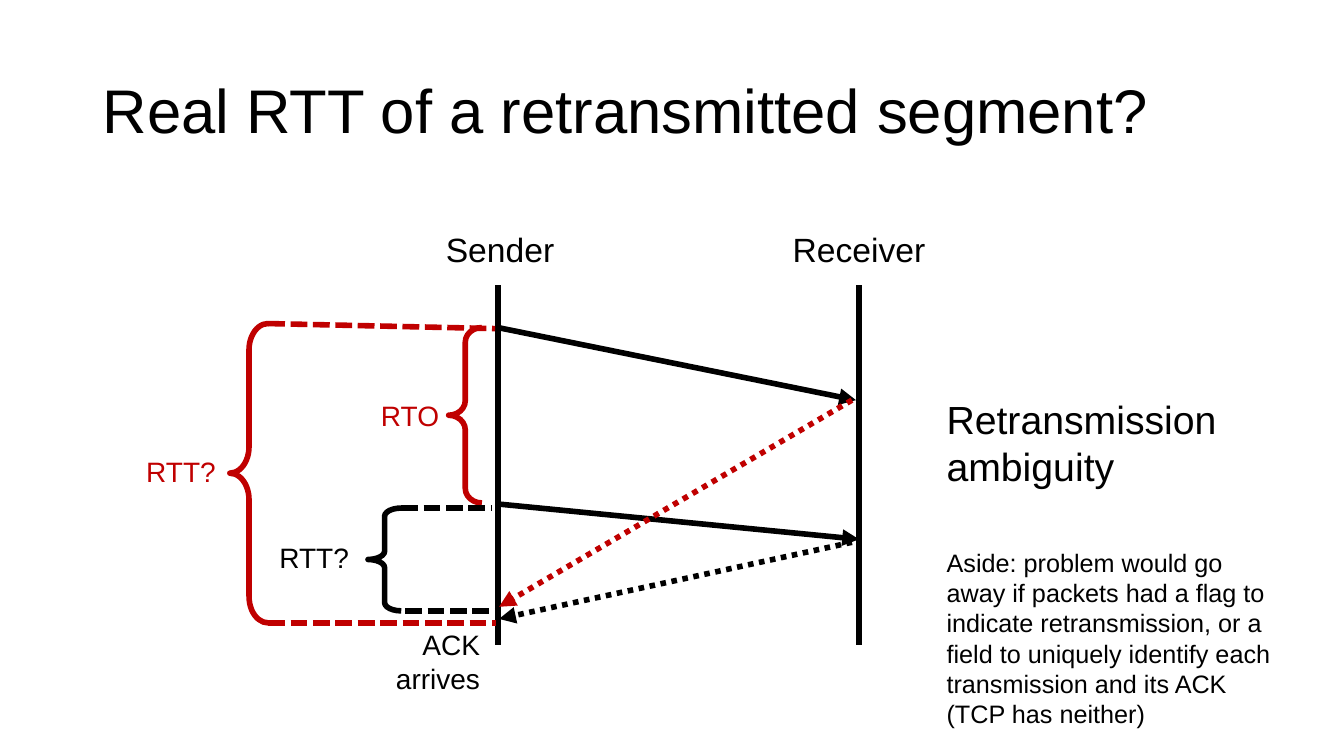
from lxml import etree
from pptx import Presentation
from pptx import util as u
from pptx.dml.color import RGBColor
from pptx.enum import dml, shapes, text
from pptx.oxml.ns import qn

BLACK, RED = "000000", "C00000"
LEFT, MID, RIGHT = text.PP_ALIGN.LEFT, text.PP_ALIGN.CENTER, text.PP_ALIGN.RIGHT
DOT, DASH = dml.MSO_LINE.ROUND_DOT, dml.MSO_LINE.SQUARE_DOT


def color(code):
    return RGBColor.from_string(code)


def label(slide, box, words, size, hue=BLACK, align=LEFT, gap=1.0, wrap=True):
    shape = slide.shapes.add_textbox(*map(u.Inches, box))
    frame = shape.text_frame
    frame.text = words
    frame.word_wrap = wrap
    if not wrap:
        frame.auto_size = text.MSO_AUTO_SIZE.SHAPE_TO_FIT_TEXT
    for para in frame.paragraphs:
        para.alignment = align
        para.line_spacing = gap
        for run in para.runs:
            run.font.name = "Arial"
            run.font.size = u.Pt(size)
            run.font.color.rgb = color(hue)
    return shape


def stroke(line, hue, dash=None):
    line.color.rgb = color(hue)
    line.width = u.Pt(4)
    if dash:
        line.dash_style = dash


def link(slide, start, end, hue=BLACK, dash=None, arrow=False):
    ends = [u.Inches(n) for n in (*start, *end)]
    wire = slide.shapes.add_connector(shapes.MSO_CONNECTOR.STRAIGHT, *ends)
    stroke(wire.line, hue, dash)
    props = wire._element.spPr
    if arrow:
        etree.SubElement(props.find(qn("a:ln")), qn("a:tailEnd"), type="triangle")
    etree.SubElement(props, qn("a:effectLst"))


def brace(slide, box, curve, hue):
    shape = slide.shapes.add_shape(shapes.MSO_SHAPE.LEFT_BRACE, *map(u.Inches, box))
    shape.adjustments[0] = curve
    shape.shadow.inherit = False
    shape.fill.background()
    stroke(shape.line, hue)


def title(slide, box):
    head = label(slide, box, "Real RTT of a retransmitted segment?", 44, gap=0.9)
    head.text_frame.vertical_anchor = text.MSO_ANCHOR.MIDDLE


def timeline(slide, box):
    x, y, wide, high = box
    far = x + wide
    for mid, name in ((x + 0.02, "Sender"), (far, "Receiver")):
        label(slide, (mid - 0.9, y - 0.56, 1.8, 0.46), name, 24,
              align=MID, gap=0.9, wrap=False)
    for side in (x, far):
        link(slide, (side, y), (side, y + high))
    for start, end in (((x, y + 0.42), (far - 0.03, y + 1.14)),
                       ((x, y + 2.17), (far, y + 2.52))):
        link(slide, start, end, arrow=True)
    for top, low, hue in ((1.14, 3.19, RED), (2.55, 3.31, BLACK)):
        link(slide, (far - 0.07, y + top), (x + 0.01, y + low), hue, DOT, True)


def spans(slide, box):
    x, y, wide, high = box
    edge = x + wide
    for left, top, w, h, curve, hue in ((2.17, 0.04, 0.33, 1.74, 0.44, RED),
                                        (0, 0, 0.38, 2.97, 0.69, RED),
                                        (1.37, 1.83, 0.33, 1.02, 0.25, BLACK)):
        brace(slide, (x + left, y + top, w, h), curve, hue)
    for left, top, right, low, hue in ((1.7, 1.83, 0.05, 1.83, BLACK),
                                       (1.74, 2.85, 0.01, 2.85, BLACK),
                                       (0.38, 0, 0.01, 0.05, RED),
                                       (0.38, high, 0, high, RED)):
        link(slide, (x + left, y + top), (edge - right, y + low), hue, DASH)
    label(slide, (x + 1.4, y + 0.69, 0.78, 0.44), "RTO", 20, RED, wrap=False)
    for left, top, hue in ((-0.94, 1.31, RED), (0.38, 2.17, BLACK)):
        label(slide, (x + left, y + top, 0.9, 0.37), "RTT?", 20, hue, RIGHT, 0.8, False)
    label(slide, (x + 1.4, y + high, 1.18, 0.77), "ACK arrives", 20, align=RIGHT)


def aside(slide, box):
    x, y, wide, high = box
    label(slide, (x, y, 3, 1.04), "Retransmission ambiguity", 28)
    label(slide, (x, y + 1.51, wide, high - 1.51),
          "Aside: problem would go away if packets had a flag to indicate "
          "retransmission, or a field to uniquely identify each transmission "
          "and its ACK\n(TCP has neither)", 18)


def main():
    deck = Presentation()
    deck.slide_width, deck.slide_height = u.Inches(13.33), u.Inches(7.5)
    slide = deck.slides.add_slide(deck.slide_layouts[6])
    title(slide, (0.92, 0.4, 11.5, 1.45))
    timeline(slide, (4.94, 2.83, 3.58, 3.57))
    spans(slide, (2.28, 3.21, 2.64, 2.97))
    aside(slide, (9.29, 3.87, 3.52, 3.43))
    deck.save("out.pptx")


if __name__ == "__main__":
    main()
